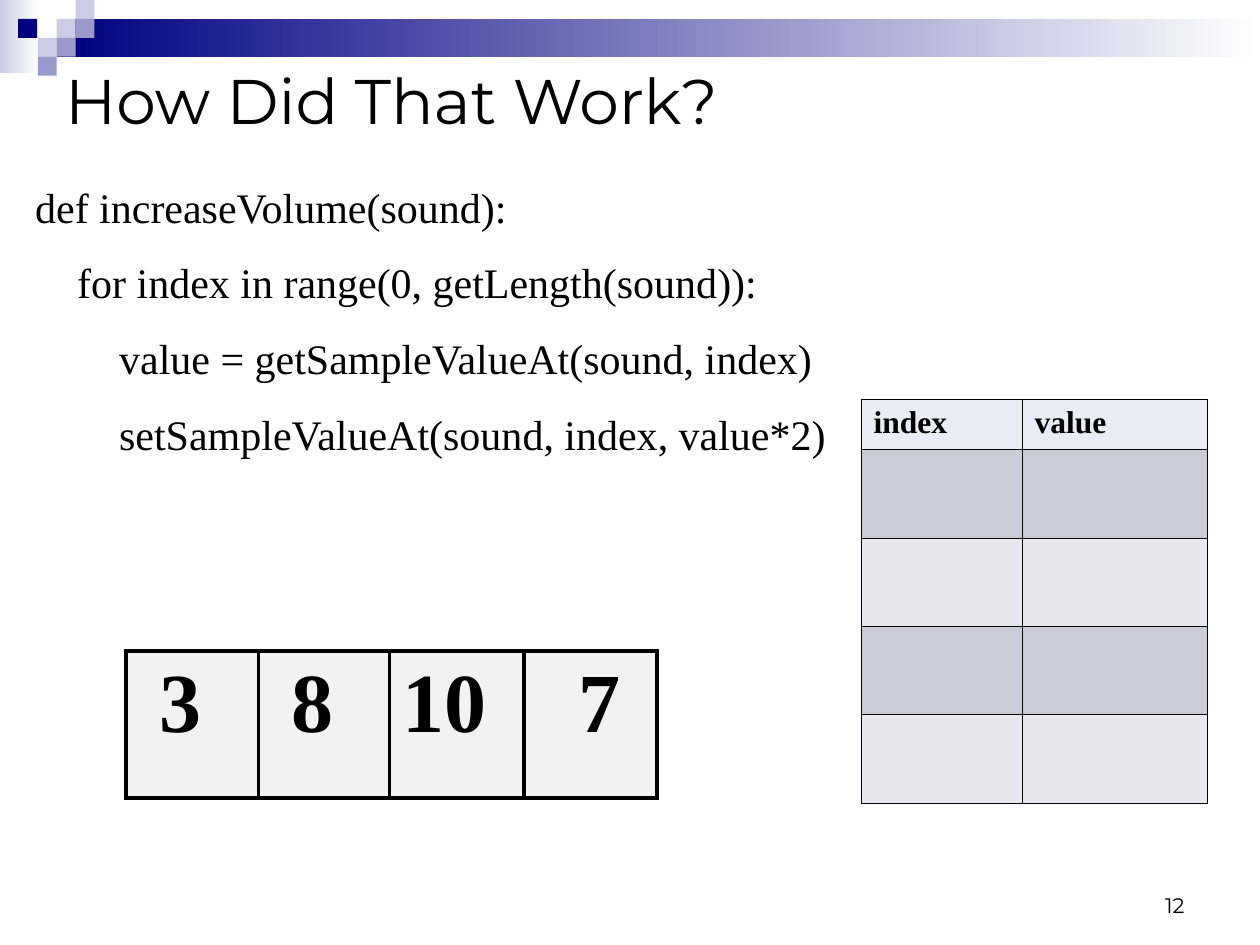
import lxml.etree
import pptx
import pptx.dml.color
import pptx.enum.shapes
import pptx.enum.text
import pptx.oxml.ns
import pptx.util

Pt = pptx.util.Pt
RGBColor = pptx.dml.color.RGBColor
MSO_ANCHOR = pptx.enum.text.MSO_ANCHOR
PP_ALIGN = pptx.enum.text.PP_ALIGN

BLACK = RGBColor(0x00, 0x00, 0x00)
WHITE = RGBColor(0xFF, 0xFF, 0xFF)
NAVY = RGBColor(0x00, 0x00, 0x80)
LAVENDER = RGBColor(0xCC, 0xCC, 0xE6)
PERIWINKLE = RGBColor(0x99, 0x99, 0xCC)
SAMPLE_GRAY = RGBColor(0xF2, 0xF2, 0xF2)
HEADER_FILL = RGBColor(0xEB, 0xEB, 0xF5)
DARK_BAND = RGBColor(0xCB, 0xCB, 0xD8)
LIGHT_BAND = RGBColor(0xE7, 0xE7, 0xED)

SANS = "Montserrat"
SERIF = "Times New Roman"


def add_text(paragraph, text, font_name, size, bold=False, indent=0):
    run = paragraph.add_run()
    run.text = text
    run.font.name = font_name
    run.font.size = Pt(size)
    run.font.bold = bold
    run.font.color.rgb = BLACK
    if indent:
        properties = paragraph._p.get_or_add_pPr()
        properties.set("marL", str(Pt(indent)))
        properties.set("indent", "0")


def style_cell(cell, fill_color, border_width):
    properties = cell._tc.get_or_add_tcPr()
    for side in ("a:lnL", "a:lnR", "a:lnT", "a:lnB"):
        line = lxml.etree.SubElement(properties, pptx.oxml.ns.qn(side), w=str(Pt(border_width)))
        solid = lxml.etree.SubElement(line, pptx.oxml.ns.qn("a:solidFill"))
        lxml.etree.SubElement(solid, pptx.oxml.ns.qn("a:srgbClr"), val=str(BLACK))
    cell.fill.solid()
    cell.fill.fore_color.rgb = fill_color


presentation = pptx.Presentation()
presentation.slide_width = Pt(720)
presentation.slide_height = Pt(540)
slide = presentation.slides.add_slide(presentation.slide_layouts[5])

# Header band: gradient bars, then the checkered squares
SQUARE = 10.8
header_parts = [
    (0, 0, 22.3, 41.8, (LAVENDER, WHITE)),
    (32.4, 10.8, 687.6, 21.6, (NAVY, WHITE)),
]
for left, top, color in [
    (32.4, 10.8, LAVENDER),
    (43.2, 0, LAVENDER),
    (43.2, 10.8, PERIWINKLE),
    (21.6, 21.6, LAVENDER),
    (10.4, 10.8, NAVY),
    (32.4, 21.6, PERIWINKLE),
    (21.6, 32.4, PERIWINKLE),
]:
    header_parts.append((left, top, SQUARE, SQUARE, (color,)))

for left, top, width, height, colors in header_parts:
    shape = slide.shapes.add_shape(
        pptx.enum.shapes.MSO_SHAPE.RECTANGLE, Pt(left), Pt(top), Pt(width), Pt(height))
    shape.shadow.inherit = False
    shape.line.fill.background()
    if len(colors) == 1:
        shape.fill.solid()
        shape.fill.fore_color.rgb = colors[0]
    else:
        shape.fill.gradient()
        shape.fill.gradient_angle = 0
        for position, (stop, color) in enumerate(zip(shape.fill.gradient_stops, colors)):
            stop.position = position
            stop.color.rgb = color

# Slide number
number_box = slide.shapes.add_textbox(Pt(516), Pt(492), Pt(168), Pt(36))
number_box.text_frame.word_wrap = True
number_box.text_frame.vertical_anchor = MSO_ANCHOR.BOTTOM
number_paragraph = number_box.text_frame.paragraphs[0]
number_paragraph.alignment = PP_ALIGN.RIGHT
add_text(number_paragraph, "12", SANS, 12)

# Title
title = slide.shapes.title
title.left, title.top, title.width, title.height = Pt(30), Pt(12), Pt(648), Pt(90)
title.text_frame.vertical_anchor = MSO_ANCHOR.MIDDLE
title.text_frame.auto_size = pptx.enum.text.MSO_AUTO_SIZE.NONE
title_paragraph = title.text_frame.paragraphs[0]
title_paragraph.alignment = PP_ALIGN.LEFT
add_text(title_paragraph, "How Did That Work?", SANS, 36)

# Code listing, one indent step per nesting level
code_lines = [
    (0, "def increaseVolume(sound):"),
    (1, "for index in range(0, getLength(sound)):"),
    (2, "value = getSampleValueAt(sound, index)"),
    (2, "setSampleValueAt(sound, index, value*2)"),
]
code_box = slide.shapes.add_textbox(Pt(13), Pt(85.7), Pt(468.7), Pt(180))
code_frame = code_box.text_frame
code_frame.word_wrap = False
for number, (level, text) in enumerate(code_lines):
    paragraph = code_frame.add_paragraph() if number else code_frame.paragraphs[0]
    paragraph.line_spacing = 1.5
    add_text(paragraph, text, SERIF, 24, indent=24 * level)

# Sound samples
samples = [("3", 12, 75.6), ("8", 12, 75), ("10", 0, 77), ("7", 24, 75.9)]
sample_table = slide.shapes.add_table(
    1, len(samples), Pt(72), Pt(372), Pt(303.5), Pt(84)).table
for column, (text, indent, width) in enumerate(samples):
    sample_table.columns[column].width = Pt(width)
    cell = sample_table.cell(0, column)
    style_cell(cell, SAMPLE_GRAY, 2.21)
    add_text(cell.text_frame.paragraphs[0], text, SERIF, 48, bold=True, indent=indent)

# Trace table, to be filled in
row_fills = [HEADER_FILL, DARK_BAND, LIGHT_BAND, DARK_BAND, LIGHT_BAND]
trace_table = slide.shapes.add_table(
    len(row_fills), 2, Pt(492), Pt(228), Pt(198), Pt(231)).table
for column, (heading, width) in enumerate([("index", 92), ("value", 106)]):
    trace_table.columns[column].width = Pt(width)
    add_text(trace_table.cell(0, column).text_frame.paragraphs[0], heading, SERIF, 18, bold=True)
for row, fill_color in enumerate(row_fills):
    trace_table.rows[row].height = Pt(50.5 if row else 29)
    for cell in trace_table.rows[row].cells:
        style_cell(cell, fill_color, 0.45)

presentation.save("out.pptx")
